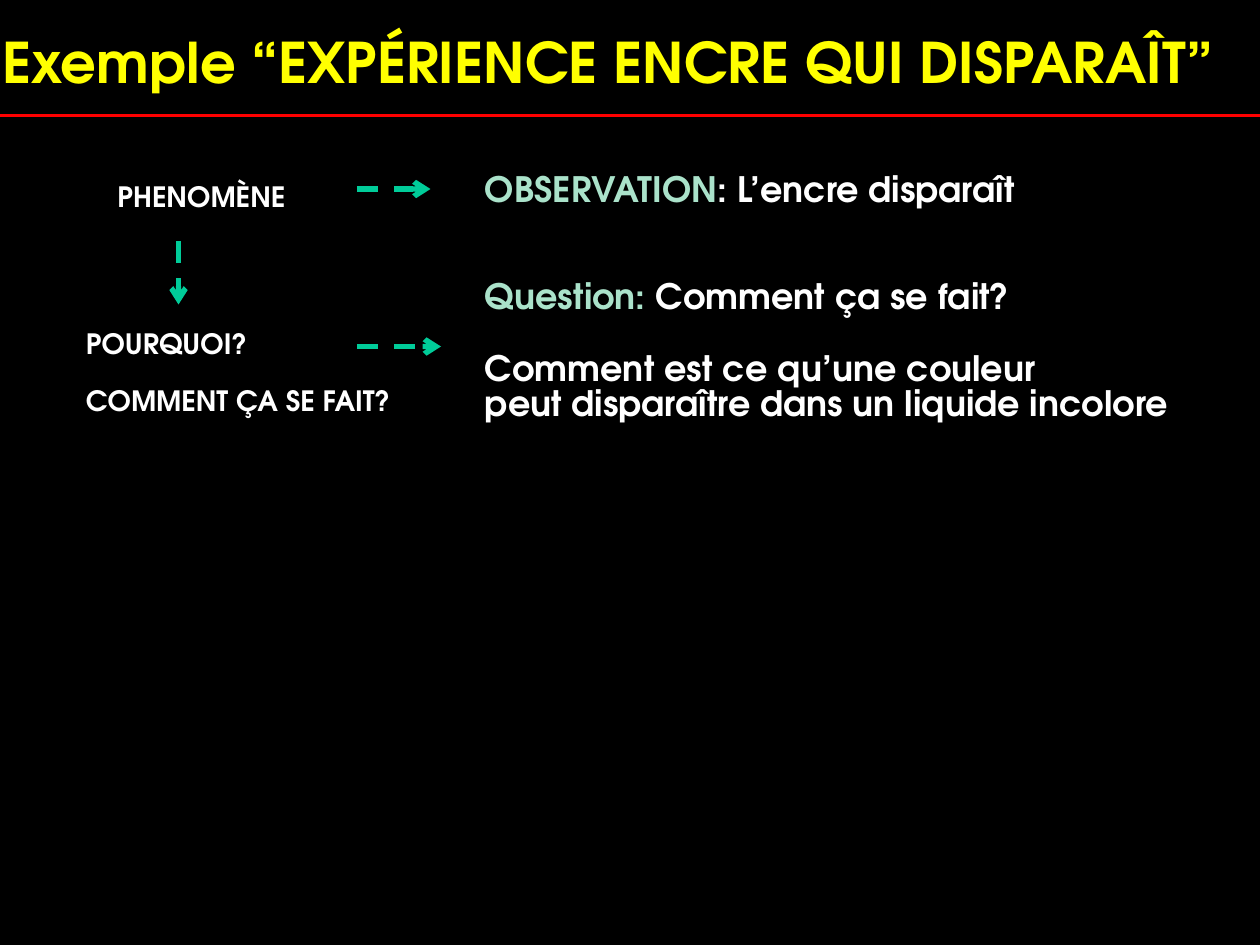
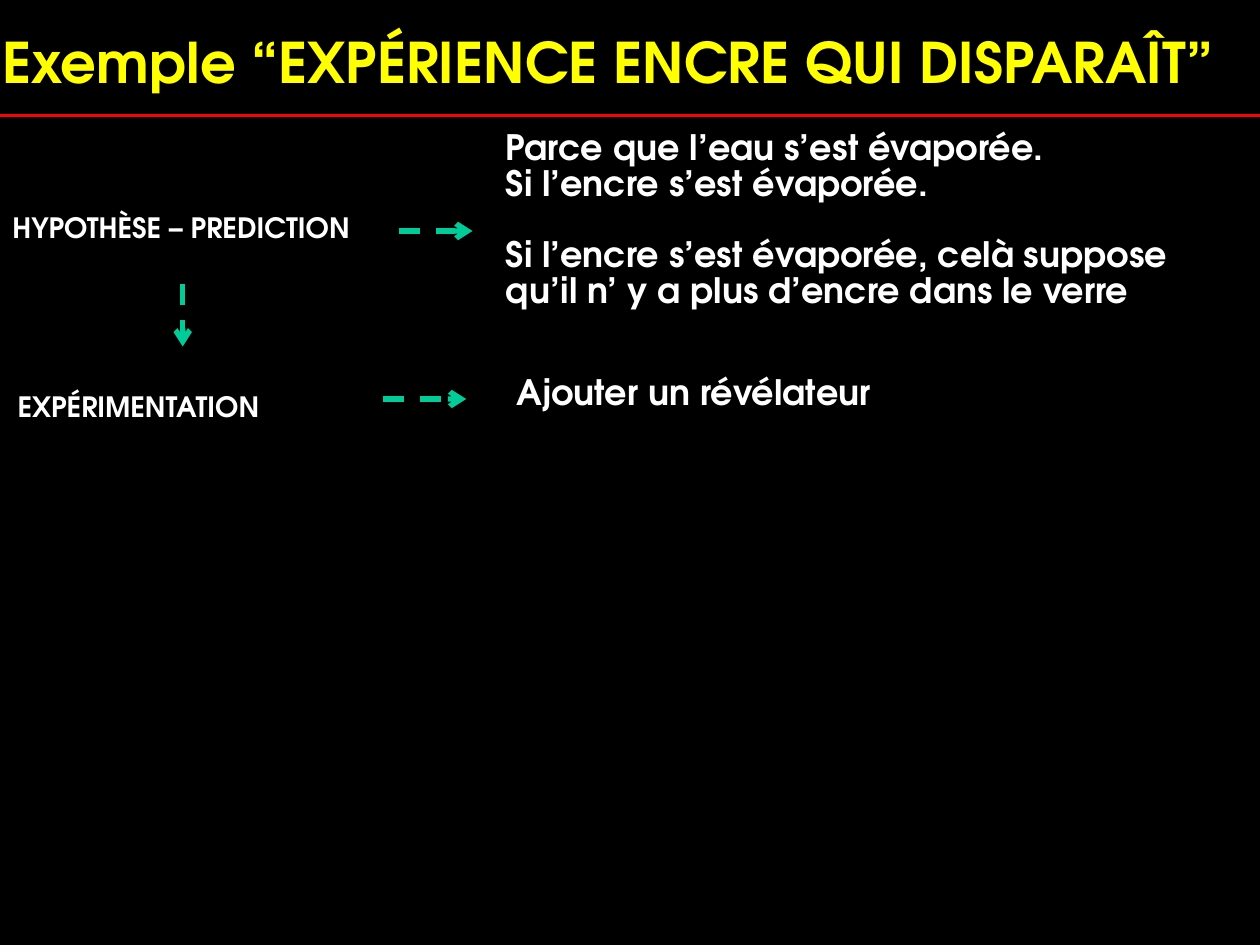
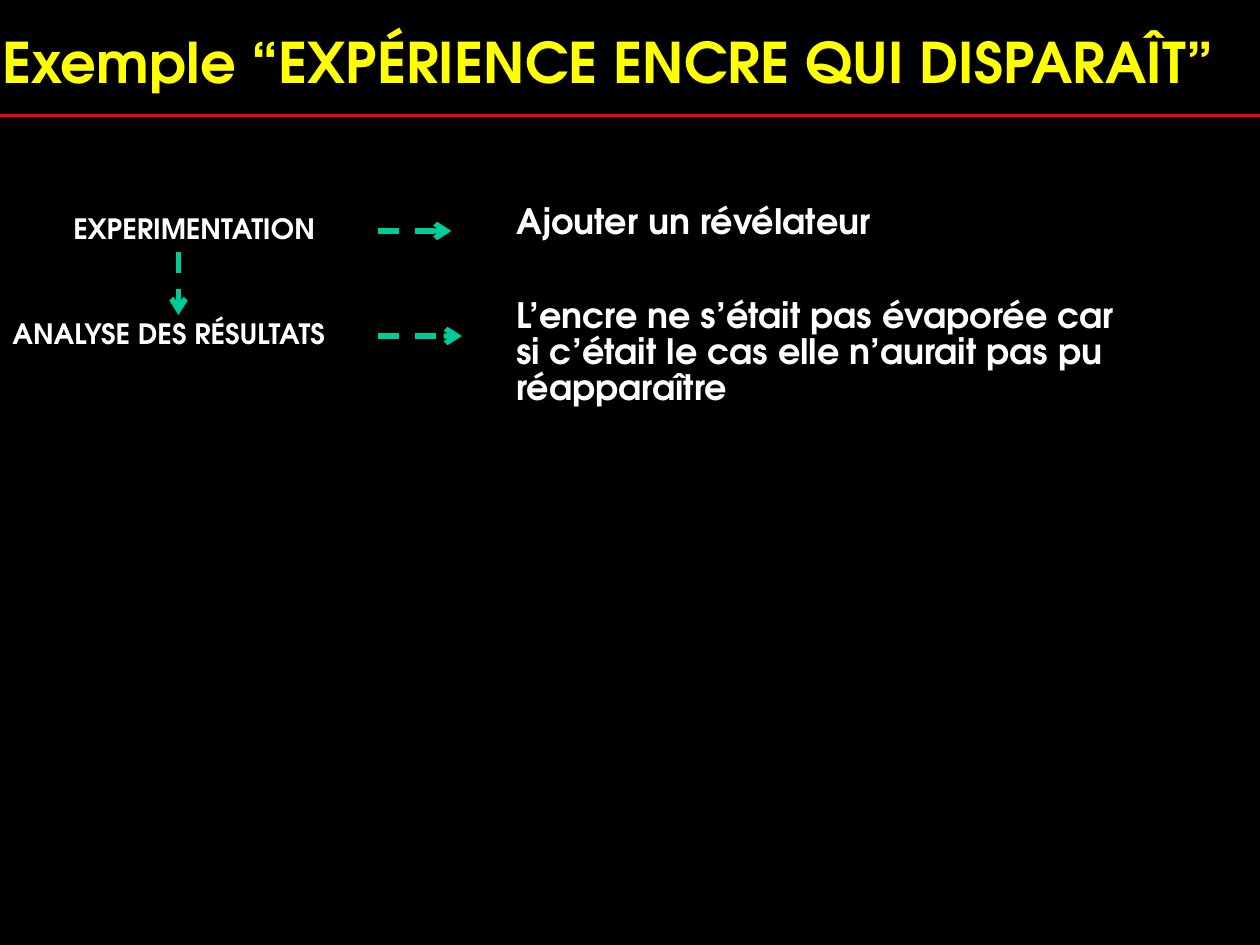
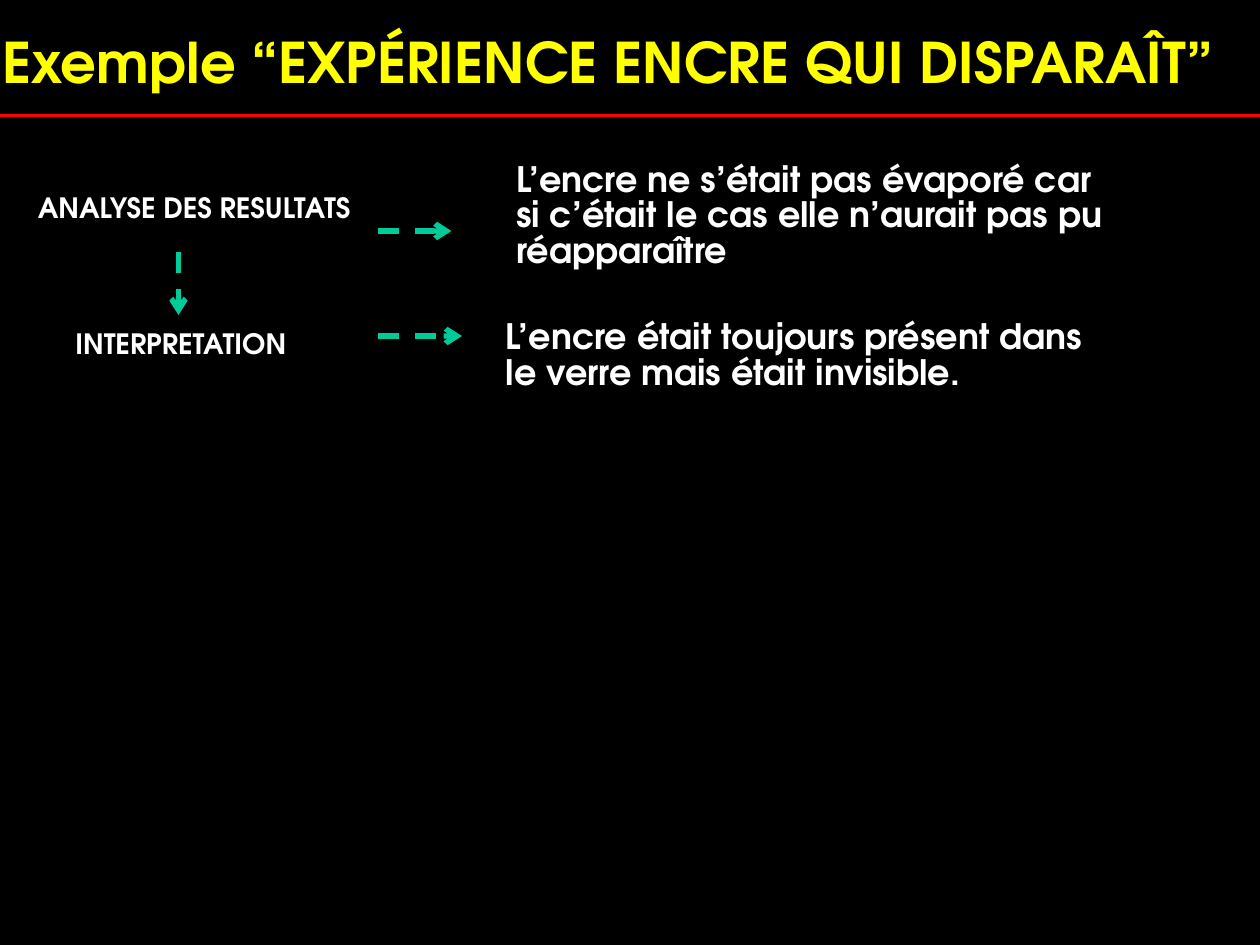
import pptx
import pptx.util
import pptx.dml.color
import pptx.enum.dml
import pptx.enum.shapes
import pptx.enum.text
from lxml import etree

COLORS = {"background": "000000", "title": "FFFF00", "rule": "FF0000",
          "text": "FFFFFF", "keyword": "AAE2CA", "arrow": "00CC99"}
FONT = "TeX Gyre Adventor"
TITLE = "Exemple “EXPÉRIENCE ENCRE QUI DISPARAÎT”"
STEP_SIZE, ANSWER_SIZE = 16, 20
LINE_SPACING = 0.85
LINE_PITCH = 1.02  # height of one line as a share of the text size

# Content: places are (column, row, width, height) on a grid of 120 x 90.
# A paragraph is (lines skipped before it, (colour, text), ...).
SLIDES = [
    {"steps": [((10, 17, 20, 4), "left", [(0, ("text", "PHENOMÈNE"))]),
               ((7, 31, 33.2, 9.6), "left", [
                   (0, ("text", "POURQUOI?")),
                   (1, ("text", "COMMENT ÇA SE FAIT?"))])],
     "answers": [((45, 16, 69, 28.4), [
         (0, ("keyword", "OBSERVATION"), ("text", ": L’encre disparaît")),
         (2, ("keyword", "Question: "), ("text", "Comment ça se fait?")),
         (1, ("text", "Comment est ce qu’une couleur")),
         (0, ("text", "peut disparaître dans un liquide incolore"))])],
     "arrows": [(17, 23, 17, 29), (34, 18, 41, 18), (34, 33, 42, 33)]},
    {"steps": [((0, 20, 37, 7), "left", [(0, ("text", "HYPOTHÈSE – PREDICTION"))]),
               ((0.5, 37, 38.3, 4), "left", [(0, ("text", "EXPÉRIMENTATION"))])],
     "answers": [((47, 12, 72, 18.2), [
         (0, ("text", "Parce que l’eau s’est évaporée.")),
         (0, ("text", "Si l’encre s’est évaporée.")),
         (1, ("text", "Si l’encre s’est évaporée, celà suppose "
                      "qu’il n’ y a plus d’encre dans le verre"))]),
         ((48, 35.3, 60, 4.7), [(0, ("text", "Ajouter un révélateur"))])],
     "arrows": [(17.4, 27, 17.4, 33), (38, 22, 45, 22), (36.5, 38, 44.4, 38)]},
    {"steps": [((0, 20, 37, 4), "center", [(0, ("text", "EXPERIMENTATION"))]),
               ((0, 30, 38.3, 4), "left", [(0, ("text", "ANALYSE DES RÉSULTATS"))])],
     "answers": [((48, 19, 60, 4.7), [(0, ("text", "Ajouter un révélateur"))]),
                 ((48, 28, 60, 11.4), [
                     (0, ("text", "L’encre ne s’était pas évaporée car si c’était "
                                  "le cas elle n’aurait pas pu réapparaître"))])],
     "arrows": [(17, 24, 17, 30), (36, 22, 43, 22), (36, 32, 44, 32)]},
    {"steps": [((0, 18, 37, 4), "center", [(0, ("text", "ANALYSE DES RESULTATS"))]),
               ((6, 31, 25, 6.7), "left", [(0, ("text", "INTERPRETATION"))])],
     "answers": [((48, 15, 60, 11.4), [
         (0, ("text", "L’encre ne s’était pas évaporé car si c’était "
                      "le cas elle n’aurait pas pu réapparaître"))]),
         ((47, 30, 60, 8), [
             (0, ("text", "L’encre était toujours présent dans "
                          "le verre mais était invisible."))])],
     "arrows": [(17, 24, 17, 30), (36, 22, 43, 22), (36, 32, 44, 32)]},
]

ALIGN = {"left": pptx.enum.text.PP_ALIGN.LEFT, "center": pptx.enum.text.PP_ALIGN.CENTER}

deck = pptx.Presentation()
deck.slide_width = pptx.util.Inches(10)
deck.slide_height = pptx.util.Inches(7.5)
CELL = deck.slide_width / 120


def grid(*cells):
    return [round(cell * CELL) for cell in cells]


def color(name):
    return pptx.dml.color.RGBColor.from_string(COLORS[name])


def style(font, size):
    font.name, font.size, font.bold = FONT, pptx.util.Pt(size), True


def add_line(slide, ends, color_name, width):
    line = slide.shapes.add_connector(pptx.enum.shapes.MSO_CONNECTOR.STRAIGHT, *grid(*ends))
    line.line.color.rgb = color(color_name)
    line.line.width = pptx.util.Pt(width)
    etree.SubElement(line._element.spPr, pptx.oxml.ns.qn("a:effectLst"))
    return line


def add_arrow(slide, ends):
    arrow = add_line(slide, ends, "arrow", 3)
    arrow.line.dash_style = pptx.enum.dml.MSO_LINE.DASH
    etree.SubElement(arrow.line._get_or_add_ln(), pptx.oxml.ns.qn("a:tailEnd"), type="arrow")


def add_title(slide):
    title = slide.shapes.title
    title.left, title.top, title.width, title.height = grid(-1, 2, 123.6, 7.7)
    frame = title.text_frame
    frame.text = TITLE
    frame.word_wrap = True
    frame.vertical_anchor = pptx.enum.text.MSO_ANCHOR.TOP
    heading = frame.paragraphs[0]
    heading.alignment = ALIGN["left"]
    style(heading.font, 32)
    heading.font.color.rgb = color("title")


def add_text(slide, place, size, align, paragraphs):
    frame = slide.shapes.add_textbox(*grid(*place)).text_frame
    frame.word_wrap = True
    for number, (skipped, *runs) in enumerate(paragraphs):
        paragraph = frame.add_paragraph() if number else frame.paragraphs[0]
        paragraph.alignment = ALIGN[align]
        paragraph.line_spacing = LINE_SPACING
        paragraph.space_before = pptx.util.Pt(skipped * size * LINE_PITCH)
        style(paragraph.font, size)
        for color_name, words in runs:
            run = paragraph.add_run()
            run.text = words
            run.font.color.rgb = color(color_name)


# Shared black background
backdrop = deck.slide_master.background.fill
backdrop.solid()
backdrop.fore_color.rgb = color("background")
title_only = deck.slide_layouts[5]

for content in SLIDES:
    slide = deck.slides.add_slide(title_only)
    # Title and red rule
    add_line(slide, (0, 11, 120, 11), "rule", 2.24)
    add_title(slide)
    # Steps of the method on the left, answers on the right
    for place, align, paragraphs in content["steps"]:
        add_text(slide, place, STEP_SIZE, align, paragraphs)
    for place, paragraphs in content["answers"]:
        add_text(slide, place, ANSWER_SIZE, "left", paragraphs)
    for ends in content["arrows"]:
        add_arrow(slide, ends)

deck.save("out.pptx")
